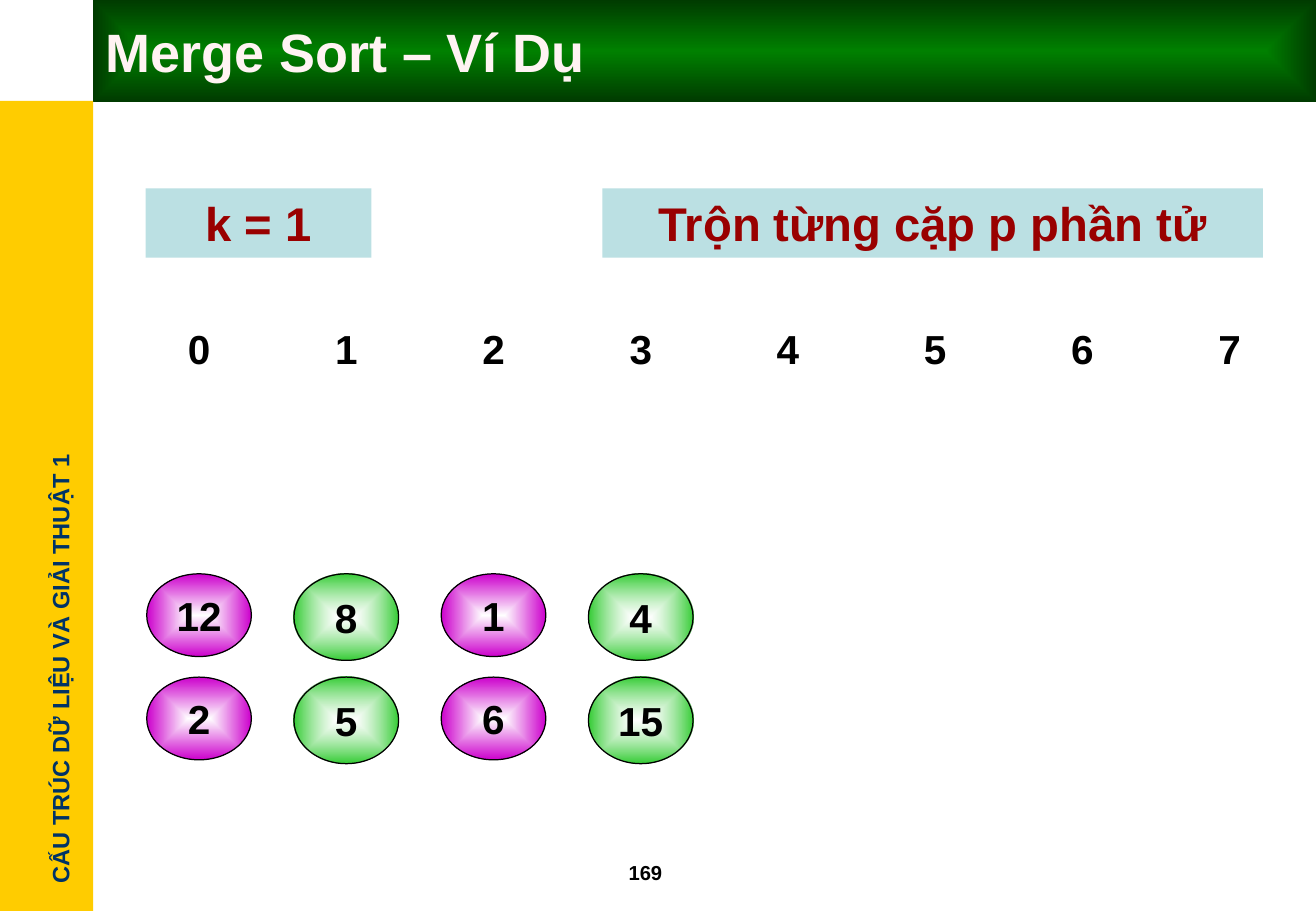
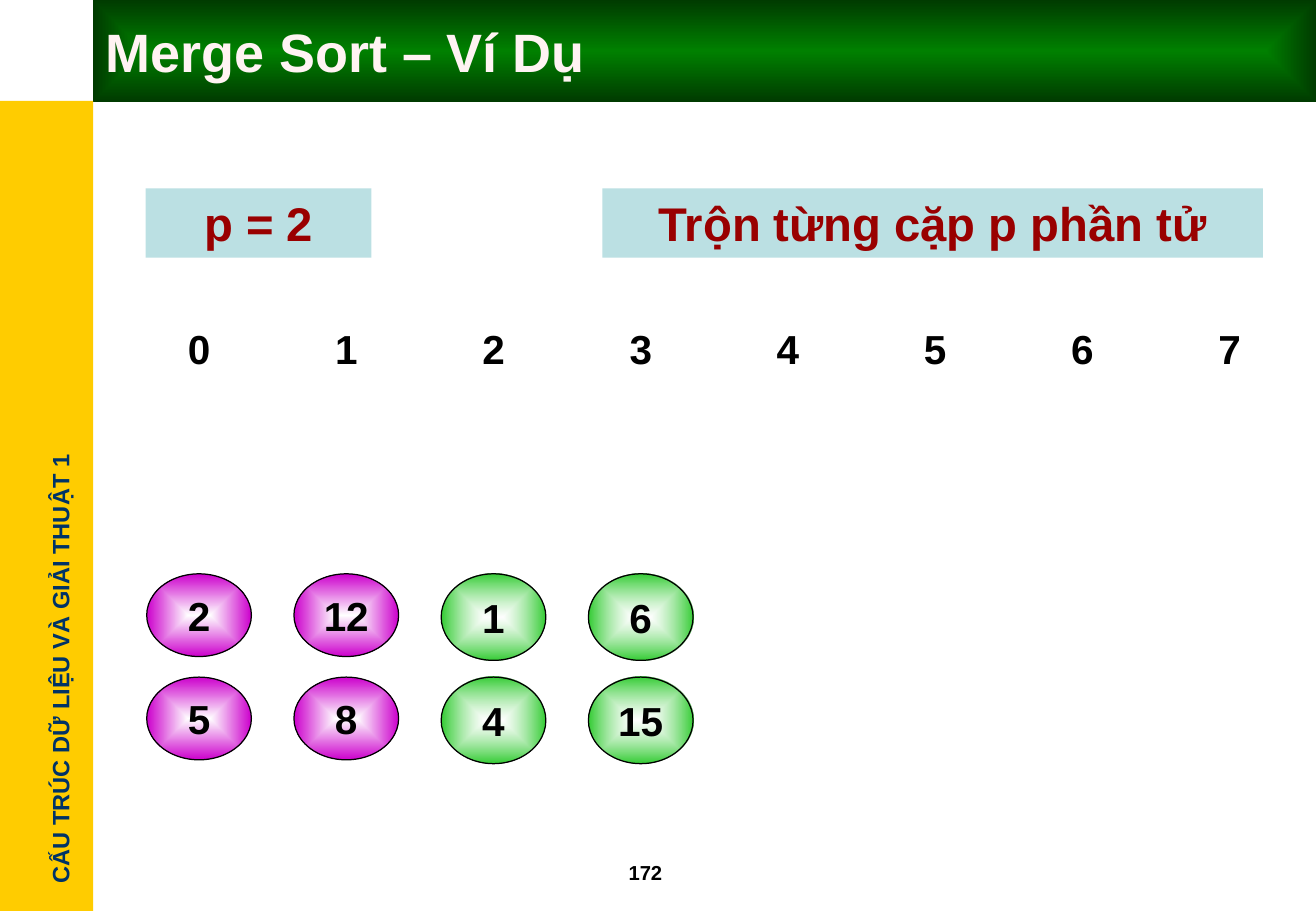
from lxml import etree
from pptx import Presentation
from pptx.dml.color import RGBColor
from pptx.enum.shapes import MSO_SHAPE
from pptx.enum.text import MSO_ANCHOR, MSO_AUTO_SIZE, PP_ALIGN
from pptx.oxml.ns import qn
from pptx.util import Cm, Pt

RECT, OVAL = MSO_SHAPE.RECTANGLE, MSO_SHAPE.OVAL
LEFT, CENTER = PP_ALIGN.LEFT, PP_ALIGN.CENTER
MIDDLE = MSO_ANCHOR.MIDDLE
FIXED = MSO_AUTO_SIZE.NONE

WIDTH, HEIGHT = 27.53, 19.05
BAND, SIDE = 2.13, 1.95
FIRST, STEP = 3.07, 3.08
TOP, DROP = 12, 2.16
BALL = 2.19
FONT = "Arial"
COLORS = {
    "side": "FFCC00",
    "course": "003366",
    "title": "FFF3F3",
    "band": "008000",
    "edge": "003B00",
    "label": "BBE0E3",
    "note": "990000",
    "ink": "000000",
    "white": "FFFFFF",
    "pink": "CC00CC",
    "green": "33CC33",
}
COURSE = "CẤU TRÚC DỮ LIỆU VÀ GIẢI THUẬT 1"
TITLE = "Merge Sort – Ví Dụ"
TASK = "Trộn từng cặp p phần tử"
STAGES = [
    ("169", "k = 1", 1, [["12", "8", "1", "4"], ["2", "5", "6", "15"]]),
    ("172", "p = 2", 2, [["2", "12", "1", "6"], ["5", "8", "4", "15"]]),
]


def tone(name):
    return RGBColor.from_string(COLORS[name])


class Deck:
    def __init__(self):
        self.file = Presentation()
        self.file.slide_width = Cm(WIDTH)
        self.file.slide_height = Cm(HEIGHT)
        self.slide = None

    def style(self, shape, text, size, color, align=CENTER, wrap=True):
        frame = shape.text_frame
        frame.text = text
        frame.word_wrap = wrap
        frame.auto_size = FIXED
        frame.vertical_anchor = MIDDLE
        line = frame.paragraphs[0]
        line.alignment = align
        font = line.runs[0].font
        font.name, font.size, font.bold = FONT, Pt(size), True
        font.color.rgb = tone(color)

    def blend(self, shape, inner, outer, alpha=None):
        shape.fill.gradient()
        for stop, name in zip(shape.fill.gradient_stops, (inner, outer)):
            stop.color.rgb = tone(name)
        grad = shape.element.spPr.find(qn("a:gradFill"))
        if alpha:
            core = grad.find(".//" + qn("a:srgbClr"))
            etree.SubElement(core, qn("a:alpha")).set("val", str(alpha * 1000))
        grad.remove(grad.find(qn("a:lin")))
        route = etree.SubElement(grad, qn("a:path"))
        route.set("path", "rect")
        focus = etree.SubElement(route, qn("a:fillToRect"))
        for edge in "ltrb":
            focus.set(edge, "50000")

    def shape(self, kind, x, y, w, h):
        shape = self.slide.shapes.add_shape(kind, Cm(x), Cm(y), Cm(w), Cm(h))
        shape.shadow.inherit = False
        shape.line.fill.background()
        return shape

    def panel(self, x, y, w, h, color):
        panel = self.shape(RECT, x, y, w, h)
        panel.fill.solid()
        panel.fill.fore_color.rgb = tone(color)
        return panel

    def label(self, text, x, w):
        self.style(self.panel(x, 3.94, w, 1.45, "label"), text, 28, "note")

    def text(self, text, x, y, w, h, size, color="ink", align=CENTER, wrap=True):
        box = self.slide.shapes.add_textbox(Cm(x), Cm(y), Cm(w), Cm(h))
        self.style(box, text, size, color, align, wrap)
        return box

    def ball(self, text, col, row, color):
        high, alpha = (1.81, 61) if color == "green" else (1.73, None)
        ball = self.shape(OVAL, FIRST + col * STEP, TOP + row * DROP, BALL, high)
        self.blend(ball, "white", color, alpha)
        ball.line.color.rgb = tone("ink")
        ball.line.width = Pt(0.75)
        self.style(ball, text, 24, "ink", wrap=False)

    def start(self, title, page):
        self.slide = self.file.slides.add_slide(self.file.slide_layouts[5])
        head = self.slide.shapes.title
        head.left, head.top = Cm(SIDE), Cm(0)
        head.width, head.height = Cm(WIDTH - SIDE), Cm(BAND)
        self.blend(head, "band", "edge")
        self.style(head, title, 32, "title", LEFT)
        self.panel(0, BAND - 0.02, SIDE, HEIGHT - BAND + 0.02, "side")
        name = self.text(COURSE, -3.48, 13.56, 9.47, 0.86, 14, "course", LEFT, False)
        name.rotation = 270
        self.text(page, 12.9, 17.86, 2.11, 0.76, 12, align=LEFT)


def main():
    deck = Deck()
    for page, state, span, rows in STAGES:
        deck.start(TITLE, page)
        deck.label(state, 3.05, 4.72)
        deck.label(TASK, 12.6, 13.82)
        for col in range(8):
            deck.text(str(col), FIRST + col * STEP, 6.38, BALL, 1.81, 24)
        for row, items in enumerate(rows):
            for col, item in enumerate(items):
                deck.ball(item, col, row, ("pink", "green")[col // span % 2])
    deck.file.save("out.pptx")


if __name__ == "__main__":
    main()
